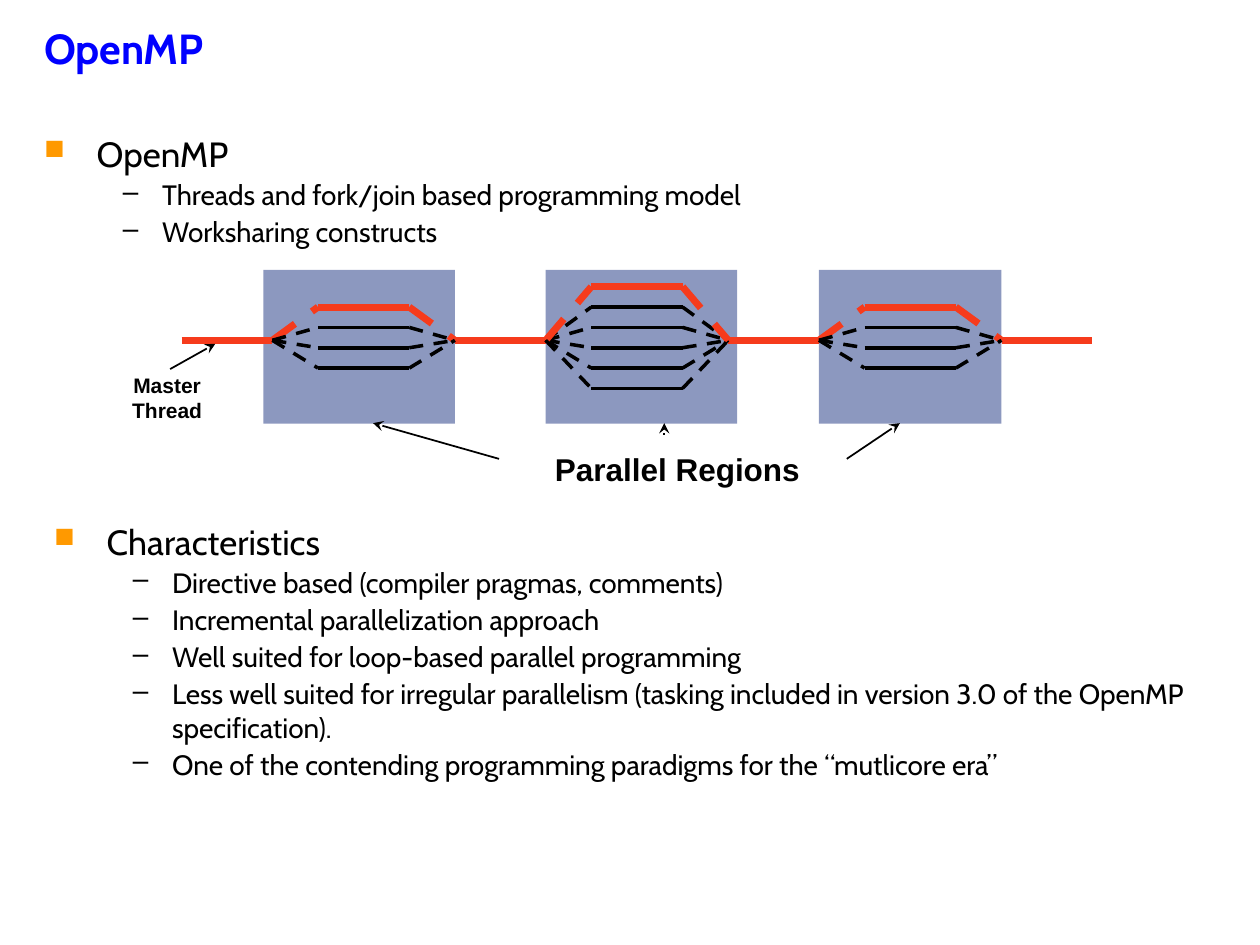
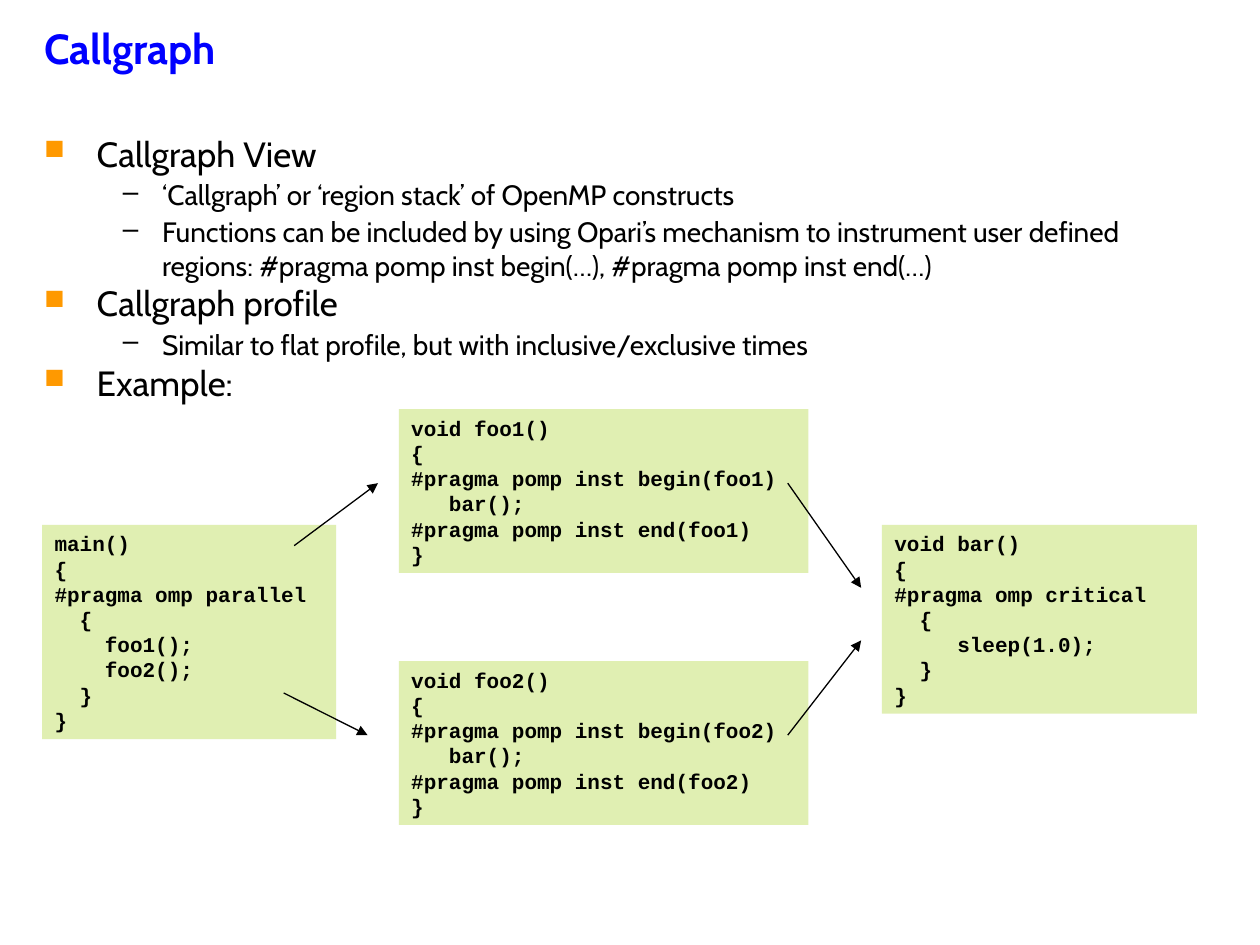
import lxml.etree
import pptx
import pptx.dml.color
import pptx.enum.dml
import pptx.enum.shapes
import pptx.enum.text
import pptx.oxml.ns
import pptx.util

Cm = pptx.util.Cm
Pt = pptx.util.Pt
RGBColor = pptx.dml.color.RGBColor
qn = pptx.oxml.ns.qn
PP_ALIGN = pptx.enum.text.PP_ALIGN
MSO_ANCHOR = pptx.enum.text.MSO_ANCHOR

BLUE = RGBColor(0x00, 0x00, 0xFF)
BLACK = RGBColor(0x00, 0x00, 0x00)
ORANGE = RGBColor(0xFF, 0x99, 0x00)
NAVY = RGBColor(0x00, 0x1B, 0x72)
RED = RGBColor(0xF6, 0x3B, 0x1C)
LIME = RGBColor(0x99, 0xCC, 0x00)


def child(parent, tag, **attributes):
    return lxml.etree.SubElement(parent, qn(tag), attributes)


class Deck:
    text_font = "Cabin"
    label_font = "Arial"
    code_font = "Courier New"
    # level: size, left margin, hanging indent, space before, bullet, bullet colour, bullet percent
    levels = (
        (20, 1.06, 1.06, 0, "■", ORANGE, 80),
        (16, 2.38, 0.79, 2, "–", BLACK, 100),
    )

    def __init__(self):
        self.prs = pptx.Presentation()
        self.prs.slide_width = Cm(25.4)
        self.prs.slide_height = Cm(19.05)
        self.slide = None

    def new_slide(self, title):
        self.slide = self.prs.slides.add_slide(self.prs.slide_layouts[6])
        tf = self.text_box(0.64, 0.08, 19.69, 1.9)
        tf.vertical_anchor = MSO_ANCHOR.MIDDLE
        p = tf.paragraphs[0]
        p.line_spacing = 0.9
        self.run(p, title, self.text_font, 24, BLUE, True)

    def text_box(self, left, top, width, height):
        tf = self.slide.shapes.add_textbox(Cm(left), Cm(top), Cm(width), Cm(height)).text_frame
        tf.word_wrap = True
        return tf

    def run(self, p, text, font, size, color=BLACK, bold=False):
        r = p.add_run()
        r.text = text
        r.font.name = font
        r.font.size = Pt(size)
        r.font.color.rgb = color
        r.font.bold = bold

    def paragraphs(self, tf, items):
        for i, item in enumerate(items):
            yield (tf.add_paragraph() if i else tf.paragraphs[0]), item

    def bullets(self, left, top, width, height, items):
        tf = self.text_box(left, top, width, height)
        for p, (level, text) in self.paragraphs(tf, items):
            size, margin, hang, before, char, color, percent = self.levels[level]
            p.level = level
            pPr = p._p.get_or_add_pPr()
            pPr.set("marL", str(Cm(margin)))
            pPr.set("indent", str(-Cm(hang)))
            child(child(pPr, "a:buClr"), "a:srgbClr", val=str(color))
            child(pPr, "a:buSzPct", val=str(percent * 1000))
            child(pPr, "a:buChar", char=char)
            p.space_before = Pt(before)
            self.run(p, text, self.text_font, size)

    def label(self, left, top, width, height, text, size):
        p = self.text_box(left, top, width, height).paragraphs[0]
        p.alignment = PP_ALIGN.CENTER
        self.run(p, text, self.label_font, size, bold=True)

    def panel(self, left, top, width, height, color, opacity):
        s = self.slide.shapes.add_shape(
            pptx.enum.shapes.MSO_SHAPE.RECTANGLE, Cm(left), Cm(top), Cm(width), Cm(height))
        s.shadow.inherit = False
        s.fill.solid()
        s.fill.fore_color.rgb = color
        child(next(s.element.spPr.iter(qn("a:srgbClr"))), "a:alpha", val=str(opacity * 1000))
        s.line.fill.background()
        return s

    def code(self, left, top, width, height, source):
        tf = self.panel(left, top, width, height, LIME, 30).text_frame
        tf.word_wrap = True
        tf.auto_size = pptx.enum.text.MSO_AUTO_SIZE.SHAPE_TO_FIT_TEXT
        tf.vertical_anchor = MSO_ANCHOR.TOP
        for p, text in self.paragraphs(tf, source.splitlines()):
            p.alignment = PP_ALIGN.LEFT
            self.run(p, text, self.code_font, 12, bold=True)

    def line(self, x1, y1, x2, y2, color=BLACK, weight=2, dashed=False, head=None):
        s = self.slide.shapes.add_connector(
            pptx.enum.shapes.MSO_CONNECTOR.STRAIGHT, Cm(x1), Cm(y1), Cm(x2), Cm(y2))
        s.line.color.rgb = color
        s.line.width = Pt(weight)
        if dashed:
            s.line.dash_style = pptx.enum.dml.MSO_LINE.DASH
        if head:
            child(s.line._get_or_add_ln(), "a:tailEnd", type=head)
        child(s.element.spPr, "a:effectLst")


def fork_join(deck):
    axis, first_row, row_gap = 6.86, 6.19, 0.41
    serial, slope, parallel = 1.83, 0.92, 1.84
    span = 2 * slope + parallel
    start = 3.66
    regions = (
        (5.31, 3.86, (0, 1, 2, 3), 0),
        (11, 3.86, (0, 1, 2, 3, -1, 4), -1),
        (16.51, 3.68, (0, 1, 2, 3), 0),
    )
    for left, width, _, _ in regions:
        deck.panel(left, 5.44, width, 3.1, NAVY, 45)
    for i in range(len(regions) + 1):
        x = start + i * (serial + span)
        deck.line(x, axis, x + serial, axis, RED, 4)
    for i, (_, _, rows, master) in enumerate(regions):
        fork = start + serial + i * (serial + span)
        join = fork + span
        for row in rows:
            y = first_row + row * row_gap
            color, weight = (RED, 4) if row == master else (BLACK, 2)
            deck.line(fork + slope, y, join - slope, y, color, weight)
            deck.line(fork, axis, fork + slope, y, color, weight, True)
            deck.line(join - slope, y, join, axis, color, weight, True)


def openmp_slide(deck):
    deck.new_slide("OpenMP")
    deck.bullets(0.64, 2.54, 24.13, 4.24, (
        (0, "OpenMP"),
        (1, "Threads and fork/join based programming model"),
        (1, "Worksharing constructs"),
    ))
    fork_join(deck)
    deck.label(8.97, 8.94, 9.37, 1.02, "Parallel Regions", 18)
    deck.label(1.91, 7.39, 2.92, 1.27, "Master Thread", 12)
    for ends in (
        (17.07, 9.25, 18.14, 8.53),
        (10.06, 9.25, 7.52, 8.53),
        (13.39, 8.76, 13.39, 8.53),
        (3.43, 7.44, 4.34, 6.93),
    ):
        deck.line(*ends, weight=1, head="stealth")
    deck.bullets(0.84, 10.36, 24.13, 6.99, (
        (0, "Characteristics"),
        (1, "Directive based (compiler pragmas, comments)"),
        (1, "Incremental parallelization approach"),
        (1, "Well suited for loop-based parallel programming"),
        (1, "Less well suited for irregular parallelism (tasking included in version 3.0 "
            "of the OpenMP specification)."),
        (1, "One of the contending programming paradigms for the “mutlicore era”"),
    ))


MAIN_CODE = """main()
{
#pragma omp parallel
  {
    foo1();
    foo2();
  }
}"""

FOO_CODE = """void NAME()
{
#pragma pomp inst begin(NAME)
   bar();
#pragma pomp inst end(NAME)
}"""

BAR_CODE = """void bar()
{
#pragma omp critical
  {
     sleep(1.0);
  }
}"""


def callgraph_slide(deck):
    deck.new_slide("Callgraph")
    deck.bullets(0.64, 2.54, 24.13, 14.81, (
        (0, "Callgraph View"),
        (1, "‘Callgraph’ or ‘region stack’ of OpenMP constructs"),
        (1, "Functions can be included by using Opari’s mechanism to instrument user defined "
            "regions: #pragma pomp inst begin(…), #pragma pomp inst end(…)"),
        (0, "Callgraph profile"),
        (1, "Similar to flat profile, but with inclusive/exclusive times"),
        (0, "Example:"),
    ))
    deck.code(0.85, 10.58, 5.93, 4.32, MAIN_CODE)
    for name, top in (("foo1", 8.25), ("foo2", 13.33)):
        deck.code(8.04, top, 8.26, 3.3, FOO_CODE.replace("NAME", name))
    deck.code(17.78, 10.58, 6.35, 3.81, BAR_CODE)
    for ends in (
        (5.93, 11, 7.62, 9.74),
        (5.72, 13.97, 7.41, 14.82),
        (15.88, 9.74, 17.36, 11.85),
        (15.88, 14.82, 17.36, 12.91),
    ):
        deck.line(*ends, weight=0.75, head="triangle")


def main():
    deck = Deck()
    openmp_slide(deck)
    callgraph_slide(deck)
    deck.prs.save("out.pptx")


if __name__ == "__main__":
    main()
